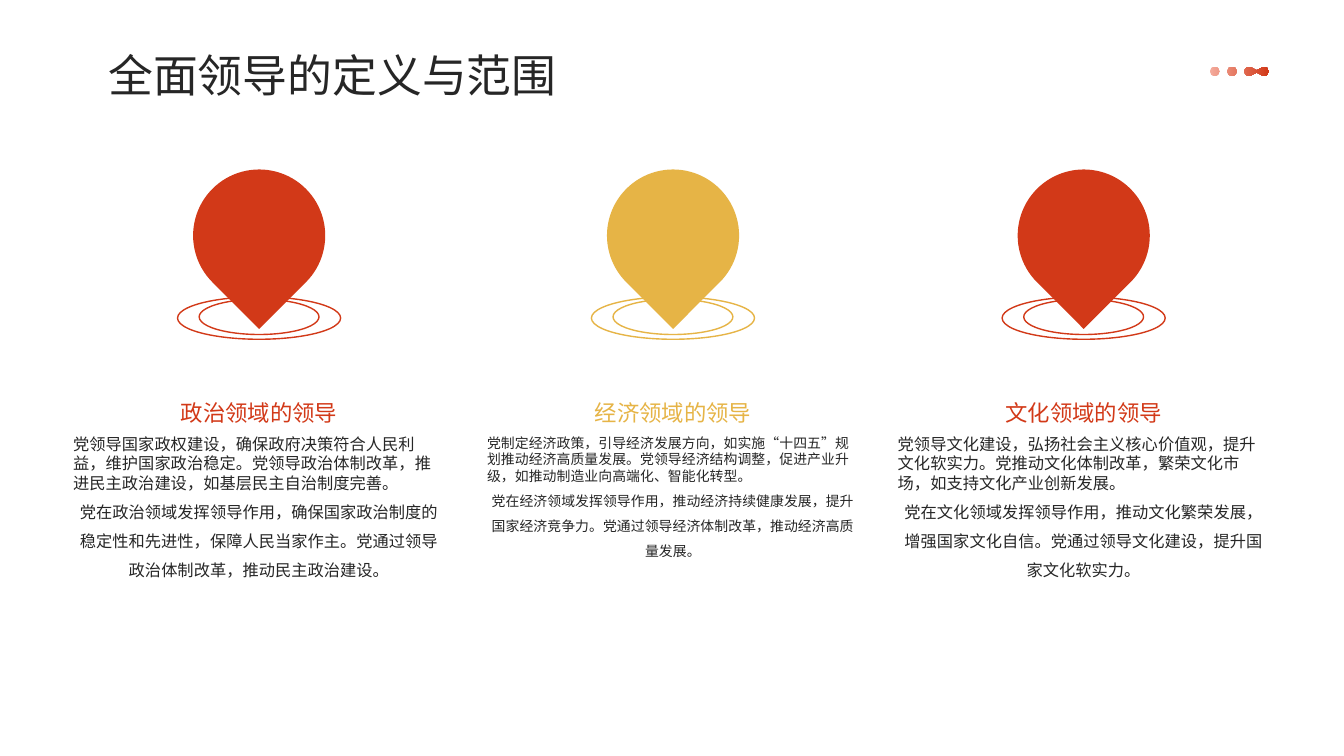
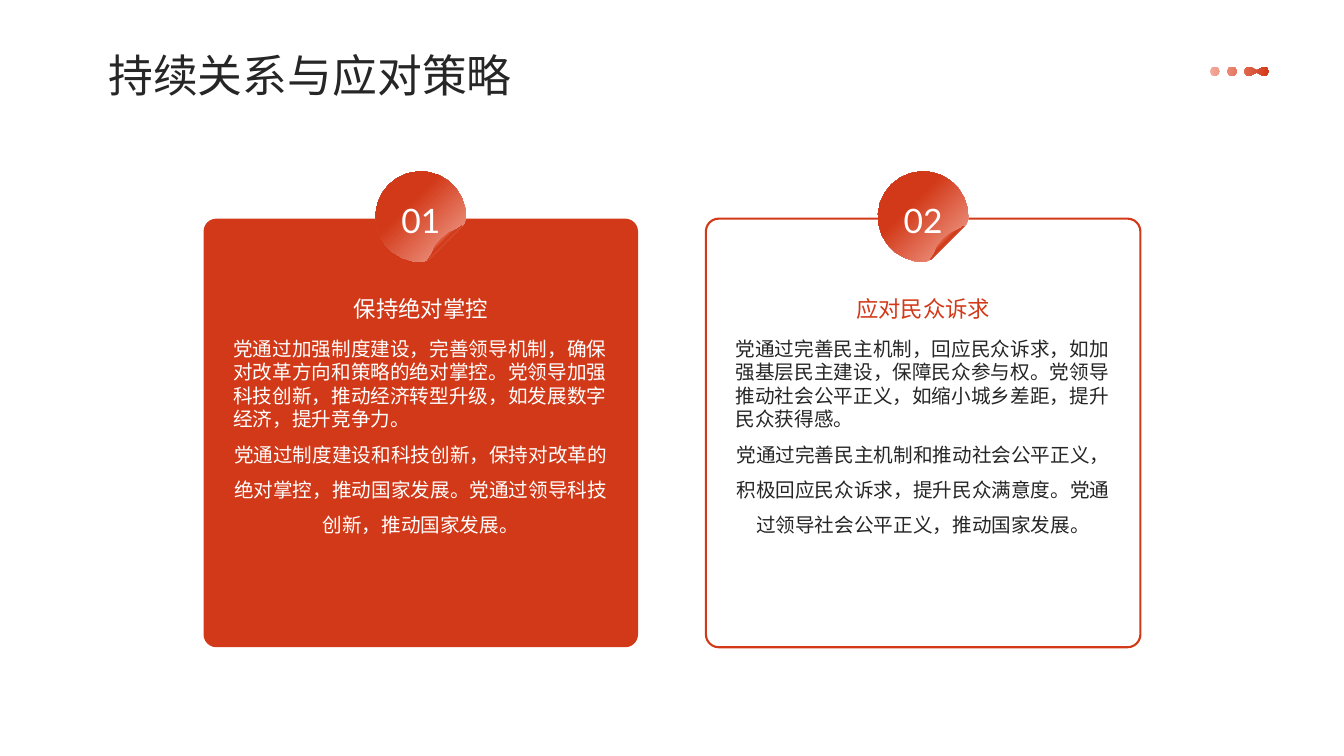
from dataclasses import dataclass
from math import cos, radians, sin

from lxml.etree import SubElement
from pptx import Presentation
from pptx.dml.color import RGBColor
from pptx.enum.shapes import MSO_SHAPE
from pptx.enum.text import MSO_ANCHOR, MSO_AUTO_SIZE, PP_ALIGN
from pptx.oxml import parse_xml
from pptx.oxml.ns import nsdecls, qn
from pptx.shapes.base import BaseShape
from pptx.slide import Slide
from pptx.text.text import TextFrame, _Paragraph
from pptx.util import Cm, Pt

RED, GOLD, PALE, ROSE = "D23918", "E6B446", "F4AB9C", "EE826A"
INK, WHITE = "262626", "FFFFFF"
HAN, LATIN = "Noto Sans CJK SC", "Lato"
LINEAR = '<a:lin ang="{}" scaled="0"/>'
CORNER = '<a:path path="circle"><a:fillToRect l="0" t="0" r="100000" b="100000"/></a:path>'

Point = tuple[float, float]
Box = tuple[float, float, float, float]


@dataclass
class Pin:
    mid: float
    tint: str
    head: str
    lead: str
    tail: str
    size: float


@dataclass
class Card:
    left: float
    mark: str
    solid: bool
    head: str
    lead: str
    tail: str


PINS = [
    Pin(6.53, RED, "政治领域的领导",
        "党领导国家政权建设，确保政府决策符合人民利益，维护国家政治稳定。党领导政治体制改革，推进民主政治建设，如基层民主自治制度完善。",
        "党在政治领域发挥领导作用，确保国家政治制度的稳定性和先进性，保障人民当家作主。党通过领导政治体制改革，推动民主政治建设。", 11.6),
    Pin(16.96, GOLD, "经济领域的领导",
        "党制定经济政策，引导经济发展方向，如实施“十四五”规划推动经济高质量发展。党领导经济结构调整，促进产业升级，如推动制造业向高端化、智能化转型。",
        "党在经济领域发挥领导作用，推动经济持续健康发展，提升国家经济竞争力。党通过领导经济体制改革，推动经济高质量发展。", 9.95),
    Pin(27.31, RED, "文化领域的领导",
        "党领导文化建设，弘扬社会主义核心价值观，提升文化软实力。党推动文化体制改革，繁荣文化市场，如支持文化产业创新发展。",
        "党在文化领域发挥领导作用，推动文化繁荣发展，增强国家文化自信。党通过领导文化建设，提升国家文化软实力。", 11.6),
]

CARDS = [
    Card(5.13, "01", True, "保持绝对掌控",
         "党通过加强制度建设，完善领导机制，确保对改革方向和策略的绝对掌控。党领导加强科技创新，推动经济转型升级，如发展数字经济，提升竞争力。",
         "党通过制度建设和科技创新，保持对改革的绝对掌控，推动国家发展。党通过领导科技创新，推动国家发展。"),
    Card(17.79, "02", False, "应对民众诉求",
         "党通过完善民主机制，回应民众诉求，如加强基层民主建设，保障民众参与权。党领导推动社会公平正义，如缩小城乡差距，提升民众获得感。",
         "党通过完善民主机制和推动社会公平正义，积极回应民众诉求，提升民众满意度。党通过领导社会公平正义，推动国家发展。"),
]


def color(code: str) -> RGBColor:
    return RGBColor.from_string(code)


def style(para: _Paragraph, size: float, tint: str, gap: float = 1.0,
          align: PP_ALIGN = PP_ALIGN.CENTER, face: str = HAN) -> None:
    para.alignment = align
    para.line_spacing = gap
    font = para.font
    font.size = Pt(size)
    font.color.rgb = color(tint)
    font.name = face
    rule = para._p.get_or_add_pPr().find(qn("a:defRPr"))
    SubElement(rule, qn("a:ea")).set("typeface", face)


def trim(frame: TextFrame) -> None:
    frame.margin_left = frame.margin_right = 0
    frame.margin_top = frame.margin_bottom = 0


def label(slide: Slide, box: Box, anchor: MSO_ANCHOR = MSO_ANCHOR.TOP,
          tight: bool = False) -> TextFrame:
    frame = slide.shapes.add_textbox(*map(Cm, box)).text_frame
    frame.word_wrap = True
    frame.vertical_anchor = anchor
    if tight:
        trim(frame)
    return frame


def line(frame: TextFrame, text: str, size: float, tint: str, gap: float,
         face: str = HAN) -> None:
    para = frame.paragraphs[0]
    para.text = text
    style(para, size, tint, gap, face=face)


def prose(frame: TextFrame, lead: str, tail: str, size: float, tint: str) -> None:
    first = frame.paragraphs[0]
    first.text = lead
    style(first, size, tint, align=PP_ALIGN.LEFT)
    first._p.get_or_add_pPr().set("hangingPunct", "0")
    last = frame.add_paragraph()
    last.text = tail
    style(last, size, tint, 1.5)


def shape(slide: Slide, kind: MSO_SHAPE, box: Box, fill: str | None = None,
          edge: str | None = None, width: float = 1) -> BaseShape:
    item = slide.shapes.add_shape(kind, *map(Cm, box))
    item.shadow.inherit = False
    if fill:
        item.fill.solid()
        item.fill.fore_color.rgb = color(fill)
    else:
        item.fill.background()
    if edge:
        item.line.color.rgb = color(edge)
        item.line.width = Pt(width)
    else:
        item.line.fill.background()
    return item


def arc(x: float, y: float, r: float, start: int, end: int,
        steps: int = 8) -> list[Point]:
    turns = [radians(start + (end - start) * i / steps) for i in range(steps + 1)]
    return [(x + r * cos(t), y + r * sin(t)) for t in turns]


def outline(slide: Slide, loops: list[list[Point]],
            stops: list[tuple[int, str]], mode: str) -> None:
    paths = [[(Cm(x), Cm(y)) for x, y in loop] for loop in loops]
    pen = slide.shapes.build_freeform(*paths[0][0])
    pen.add_line_segments(paths[0][1:])
    for loop in paths[1:]:
        pen.move_to(*loop[0])
        pen.add_line_segments(loop[1:])
    item = pen.convert_to_shape()
    item.shadow.inherit = False
    item.line.fill.background()
    item.fill.background()
    marks = "".join(f'<a:gs pos="{pos * 1000}"><a:srgbClr val="{tint}"/></a:gs>'
                    for pos, tint in stops)
    props = item._element.spPr
    props.replace(props.find(qn("a:noFill")), parse_xml(
        f'<a:gradFill {nsdecls("a")} rotWithShape="1">'
        f'<a:gsLst>{marks}</a:gsLst>{mode}</a:gradFill>'))


def dots(slide: Slide) -> None:
    y, r = 1.8, 0.12
    link = (arc(31.48, y, r, 320, 40) + [(31.67, y + 0.03)]
            + arc(31.86, y, r, 140, -140) + [(31.67, y - 0.03)])
    loops = [arc(x, y, r, 0, 360) for x in (30.61, 31.05)]
    outline(slide, loops + [link], [(0, PALE), (100, RED)], LINEAR.format(0))


def page(deck: Presentation, text: str) -> Slide:
    slide = deck.slides.add_slide(deck.slide_layouts[5])
    title = slide.shapes.title
    title.left, title.top = Cm(2.73), Cm(1.17)
    title.width, title.height = Cm(27.33), Cm(1.3)
    frame = title.text_frame
    frame.text = text
    frame.auto_size = MSO_AUTO_SIZE.NONE
    frame.vertical_anchor = MSO_ANCHOR.MIDDLE
    trim(frame)
    style(frame.paragraphs[0], 32, INK, 1.1, PP_ALIGN.LEFT)
    dots(slide)
    return slide


def draw_pin(slide: Slide, pin: Pin) -> None:
    for top, wide, high in ((7.48, 4.11, 1.07), (7.54, 3.02, 0.89)):
        shape(slide, MSO_SHAPE.OVAL, (pin.mid - wide / 2, top, wide, high),
              WHITE, pin.tint)
    side, wide = 3.33, 9.37
    drop = shape(slide, MSO_SHAPE.TEAR,
                 (pin.mid - side / 2, 4.27, side, side), pin.tint)
    drop.rotation = 135
    left = pin.mid - wide / 2
    prose(label(slide, (left, 10.94, wide, 3.78), tight=True),
          pin.lead, pin.tail, pin.size, INK)
    line(label(slide, (left, 8.72, wide, 2.01), MSO_ANCHOR.BOTTOM, True),
         pin.head, 16, pin.tint, 1.3)


def badge(slide: Slide, x: float, y: float, mark: str) -> None:
    disc = arc(x, y, 1.14, 3, -273, 20)
    disc += [(x + a, y + b) for a, b in ((0.21, 1.07), (1.08, 0.2))]
    fold = [(x + a, y + b) for a, b in (
        (0.51, 0.56), (0.36, 0.75), (0.27, 0.96), (0.18, 1.09),
        (1.04, 0.23), (0.91, 0.32), (0.71, 0.41))]
    outline(slide, [disc], [(36, RED), (100, PALE)], CORNER)
    outline(slide, [fold], [(32, ROSE), (47, RED), (63, ROSE)],
            LINEAR.format(2700000))
    line(label(slide, (x - 1.13, 4.81, 2.26, 1.27)), mark, 24, WHITE, 1.1, LATIN)


def draw_card(slide: Slide, card: Card) -> None:
    wide, top, inset = 10.95, 5.51, 0.5
    frame = shape(slide, MSO_SHAPE.ROUNDED_RECTANGLE, (card.left, top, wide, 10.8),
                  RED if card.solid else None, None if card.solid else RED, 1.5)
    frame.adjustments[0] = 0.03
    left, span = card.left + inset, wide - 2 * inset
    prose(label(slide, (left, 8.36, span, 7.52)), card.lead, card.tail,
          14, WHITE if card.solid else INK)
    line(label(slide, (left, 6.79, span, 1.93), MSO_ANCHOR.MIDDLE),
         card.head, 16, WHITE if card.solid else RED, 1.1)
    badge(slide, card.left + wide / 2, 5.46, card.mark)


def main() -> None:
    deck = Presentation()
    deck.slide_width, deck.slide_height = Cm(33.87), Cm(19.05)
    scope = page(deck, "全面领导的定义与范围")
    for pin in PINS:
        draw_pin(scope, pin)
    plan = page(deck, "持续关系与应对策略")
    for card in CARDS:
        draw_card(plan, card)
    deck.save("out.pptx")


if __name__ == "__main__":
    main()
